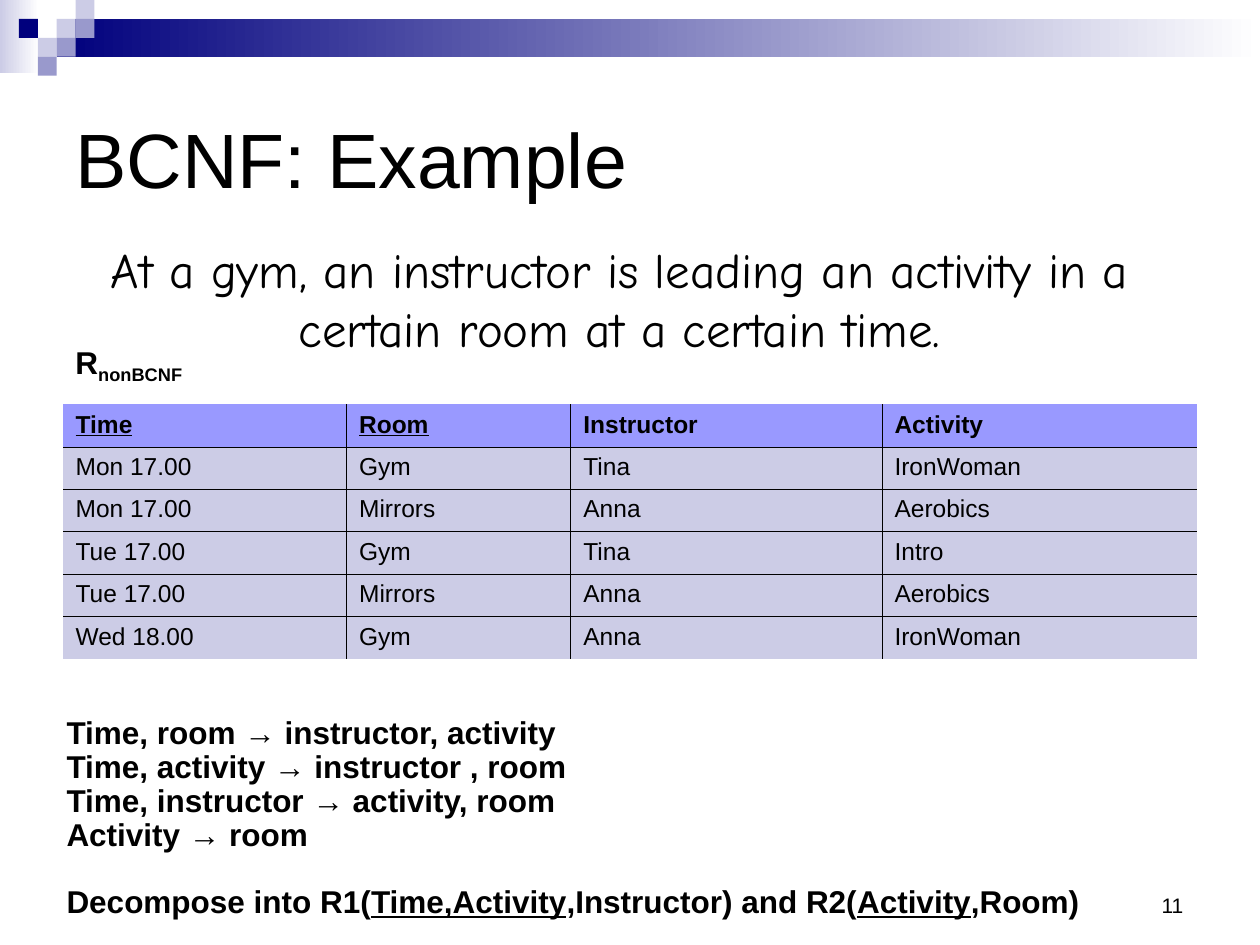
from dataclasses import dataclass

from lxml import etree
from pptx import Presentation
from pptx.dml.color import RGBColor
from pptx.enum.shapes import MSO_SHAPE
from pptx.enum.text import MSO_ANCHOR, PP_ALIGN
from pptx.oxml.ns import qn
from pptx.util import Inches, Pt

RECT = MSO_SHAPE.RECTANGLE
TOP, MIDDLE, BOTTOM = MSO_ANCHOR.TOP, MSO_ANCHOR.MIDDLE, MSO_ANCHOR.BOTTOM
LEFT, CENTER, RIGHT = PP_ALIGN.LEFT, PP_ALIGN.CENTER, PP_ALIGN.RIGHT


@dataclass(frozen=True)
class Theme:
    navy: str = "00007D"
    violet: str = "9999CC"
    pale: str = "CCCCE6"
    white: str = "FFFFFF"
    black: str = "000000"
    header: str = "9999FF"
    font: str = "Arial"
    script_font: str = "Comic Neue"
    title: int = 44
    lead: int = 28
    body: int = 18
    table: int = 14
    number: int = 12
    border: float = 0.45


THEME = Theme()


@dataclass(frozen=True)
class Box:
    left: float
    top: float
    width: float
    height: float

    def emu(self) -> tuple:
        return tuple(Inches(v) for v in (self.left, self.top, self.width, self.height))


@dataclass(frozen=True)
class Span:
    text: str
    underline: bool = False
    subscript: bool = False


@dataclass(frozen=True)
class Tile:
    col: int
    row: int
    color: str


TILE = 0.15
TILES = [
    Tile(3, 1, THEME.pale),
    Tile(4, 0, THEME.pale),
    Tile(4, 1, THEME.violet),
    Tile(2, 2, THEME.pale),
    Tile(1, 1, THEME.navy),
    Tile(3, 2, THEME.violet),
    Tile(2, 3, THEME.violet),
]

COLUMN_WIDTHS = [2.25, 1.78, 2.47, 2.5]
TABLE_BOX = Box(0.5, 3.21, sum(COLUMN_WIDTHS), 2.02)
KEY_COLUMNS = {"Time", "Room"}
SCHEDULE = [
    ["Time", "Room", "Instructor", "Activity"],
    ["Mon 17.00", "Gym", "Tina", "IronWoman"],
    ["Mon 17.00", "Mirrors", "Anna", "Aerobics"],
    ["Tue 17.00", "Gym", "Tina", "Intro"],
    ["Tue 17.00", "Mirrors", "Anna", "Aerobics"],
    ["Wed 18.00", "Gym", "Anna", "IronWoman"],
]

DEPENDENCIES = [
    "Time, room → instructor, activity",
    "Time, activity → instructor , room",
    "Time, instructor → activity, room",
    "Activity → room",
]
DECOMPOSITION = [
    Span("Decompose into R1("),
    Span("Time,Activity", underline=True),
    Span(",Instructor) and R2("),
    Span("Activity", underline=True),
    Span(",Room)"),
]


def style_run(r, size: int, bold: bool = False, underline: bool = False,
              font: str = THEME.font) -> None:
    r.font.name = font
    r.font.size = Pt(size)
    r.font.bold = bold
    r.font.underline = underline
    r.font.color.rgb = RGBColor.from_string(THEME.black)


def add_rect(s, box: Box, color: str, fade_to: str = "") -> None:
    """Draw a borderless rectangle, fading left to right if fade_to is given."""
    sp = s.shapes.add_shape(RECT, *box.emu())
    sp.shadow.inherit = False
    sp.line.fill.background()
    if fade_to:
        sp.fill.gradient()
        sp.fill.gradient_angle = 0
        for stop, value in zip(sp.fill.gradient_stops, (color, fade_to)):
            stop.color.rgb = RGBColor.from_string(value)
    else:
        sp.fill.solid()
        sp.fill.fore_color.rgb = RGBColor.from_string(color)


def add_text(s, box: Box, paragraphs: list[list[Span]], size: int, bold: bool = False,
             font: str = THEME.font, align=LEFT, anchor=TOP):
    tf = s.shapes.add_textbox(*box.emu()).text_frame
    tf.word_wrap = True
    tf.vertical_anchor = anchor
    for i, spans in enumerate(paragraphs):
        p = tf.add_paragraph() if i else tf.paragraphs[0]
        p.alignment = align
        for span in spans:
            r = p.add_run()
            r.text = span.text
            style_run(r, size, bold, span.underline, font)
            if span.subscript:
                r._r.get_or_add_rPr().set("baseline", "-25000")
    return tf


def set_border(cell, side: str, visible: bool) -> None:
    ln = etree.SubElement(cell._tc.get_or_add_tcPr(), qn(f"a:ln{side}"),
                          w=str(int(Pt(THEME.border))))
    if visible:
        fill = etree.SubElement(ln, qn("a:solidFill"))
        etree.SubElement(fill, qn("a:srgbClr"), val=THEME.black)
    else:
        etree.SubElement(ln, qn("a:noFill"))


def add_schedule(s) -> None:
    n_rows, n_cols = len(SCHEDULE), len(COLUMN_WIDTHS)
    table = s.shapes.add_table(n_rows, n_cols, *TABLE_BOX.emu()).table
    table.first_row = table.horz_banding = False
    for column, width in zip(table.columns, COLUMN_WIDTHS):
        column.width = Inches(width)
    for i, values in enumerate(SCHEDULE):
        table.rows[i].height = Inches(TABLE_BOX.height / n_rows)
        for j, value in enumerate(values):
            cell = table.cell(i, j)
            inner = {"L": j > 0, "R": j < n_cols - 1, "T": i > 0, "B": i < n_rows - 1}
            for side, visible in inner.items():
                set_border(cell, side, visible)
            cell.fill.solid()
            cell.fill.fore_color.rgb = RGBColor.from_string(THEME.pale if i else THEME.header)
            cell.text_frame.text = value
            p = cell.text_frame.paragraphs[0]
            p.space_before = Pt(3.5)
            style_run(p.runs[0], THEME.table, bold=i == 0, underline=value in KEY_COLUMNS)


def add_dependencies(s) -> None:
    lines = [[Span(text)] for text in DEPENDENCIES] + [DECOMPOSITION]
    tf = add_text(s, Box(0.43, 5.64, 9.14, 1.72), lines, THEME.body, bold=True)
    for p in tf.paragraphs:
        p.line_spacing = 0.9
        pPr = p._p.get_or_add_pPr()
        pPr.set("marL", str(Inches(0.25)))
        pPr.set("indent", str(Inches(-0.25)))
    tf.paragraphs[-1].space_before = Pt(19)


def main() -> None:
    prs = Presentation()
    prs.slide_width, prs.slide_height = Inches(10), Inches(7.5)
    s = prs.slides.add_slide(prs.slide_layouts[6])

    add_rect(s, Box(0, 0, 0.31, 0.58), THEME.pale, fade_to=THEME.white)
    add_rect(s, Box(0.45, 0.15, 9.55, 0.3), THEME.navy, fade_to=THEME.white)
    for tile in TILES:
        add_rect(s, Box(tile.col * TILE, tile.row * TILE, TILE, TILE), tile.color)

    add_text(s, Box(3.42, 6.83, 6.07, 0.5), [[Span("11")]], THEME.number,
             align=RIGHT, anchor=BOTTOM)
    add_schedule(s)
    add_text(s, Box(0.5, 2.67, 1.25, 0.44), [[Span("R"), Span("nonBCNF", subscript=True)]],
             THEME.body, bold=True)
    lead = "At a gym, an instructor is leading an activity in a certain room at a certain time."
    add_text(s, Box(0.27, 1.85, 9.29, 1.04), [[Span(lead)]], THEME.lead,
             font=THEME.script_font, align=CENTER)
    add_text(s, Box(0.5, 0.5, 9, 1.5), [[Span("BCNF: Example")]], THEME.title, anchor=MIDDLE)
    add_dependencies(s)
    prs.save("out.pptx")


if __name__ == "__main__":
    main()
